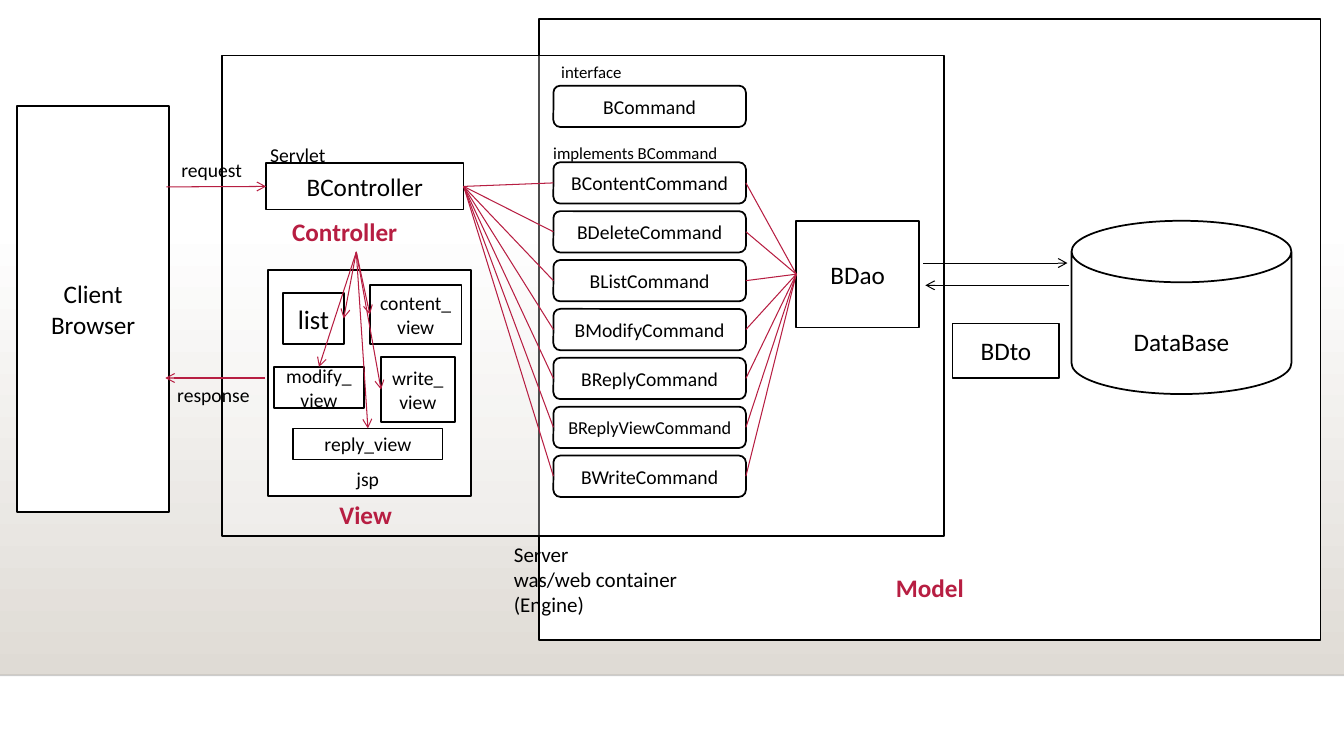
from dataclasses import dataclass

import lxml.etree
import pptx
import pptx.dml.color
import pptx.enum.dml
import pptx.enum.shapes
import pptx.enum.text
import pptx.oxml.ns
import pptx.util

Pt = pptx.util.Pt
qn = pptx.oxml.ns.qn
SHAPE = pptx.enum.shapes.MSO_SHAPE
ANCHOR = pptx.enum.text.MSO_ANCHOR
ALIGN = pptx.enum.text.PP_ALIGN

BLACK, WHITE, RED, SAND = "000000", "FFFFFF", "B71E42", "DFDBD5"
TOP, LEFT, BOTTOM, RIGHT = range(4)  # connection sites


@dataclass
class Box:
    text: str
    x: float
    y: float
    w: float
    h: float
    size: float = 18
    kind: int = SHAPE.RECTANGLE


@dataclass
class Label:
    text: str
    x: float
    y: float
    w: float
    h: float
    size: float = 14
    color: str = BLACK
    bold: bool = False


@dataclass
class Arrow:
    x1: float
    y1: float
    x2: float
    y2: float
    color: str


def rgb(color: str) -> pptx.dml.color.RGBColor:
    return pptx.dml.color.RGBColor.from_string(color)


def set_alpha(parent, percent: int) -> None:
    clr = next(parent.iter(qn("a:srgbClr")))
    lxml.etree.SubElement(clr, qn("a:alpha")).set("val", str(percent * 1000))


def write(tf, text: str, size: float, color: str, bold: bool, align) -> None:
    tf.word_wrap = True
    for i, line in enumerate(text.split("\n")):
        p = tf.paragraphs[0] if i == 0 else tf.add_paragraph()
        p.text = line
        p.alignment = align
        p.font.name = "Calibri"
        p.font.size = Pt(size)
        p.font.bold = bold
        p.font.color.rgb = rgb(color)


def draw_box(s, box: Box, color: str = BLACK, bold: bool = False):
    sp = s.shapes.add_shape(box.kind, Pt(box.x), Pt(box.y), Pt(box.w), Pt(box.h))
    sp.shadow.inherit = False
    sp.fill.solid()
    sp.fill.fore_color.rgb = rgb(WHITE)
    sp.line.color.rgb = rgb(BLACK)
    sp.line.width = Pt(1.25)
    if box.text:
        sp.text_frame.vertical_anchor = ANCHOR.MIDDLE
        write(sp.text_frame, box.text, box.size, color, bold, ALIGN.CENTER)
    return sp


def draw_label(s, label: Label):
    sp = s.shapes.add_textbox(Pt(label.x), Pt(label.y), Pt(label.w), Pt(label.h))
    write(sp.text_frame, label.text, label.size, label.color, label.bold, ALIGN.LEFT)
    sp.text_frame.auto_size = pptx.enum.text.MSO_AUTO_SIZE.SHAPE_TO_FIT_TEXT
    return sp


def draw_line(s, x1: float, y1: float, x2: float, y2: float, color: str,
              width: float = 0.75, arrow: bool = False):
    con = s.shapes.add_connector(pptx.enum.shapes.MSO_CONNECTOR.STRAIGHT,
                                 Pt(x1), Pt(y1), Pt(x2), Pt(y2))
    con.line.color.rgb = rgb(color)
    con.line.width = Pt(width)
    spPr = con._element.spPr
    if arrow:
        ln = spPr.find(qn("a:ln"))
        lxml.etree.SubElement(ln, qn("a:tailEnd")).set("type", "arrow")
    lxml.etree.SubElement(spPr, qn("a:effectLst"))
    return con


def join(s, start, start_site: int, end, end_site: int, arrow: bool = False) -> None:
    con = draw_line(s, 0, 0, 0, 0, RED, arrow=arrow)
    con.begin_connect(start, start_site)
    con.end_connect(end, end_site)


COMMANDS = ["BContentCommand", "BDeleteCommand", "BListCommand", "BModifyCommand",
            "BReplyCommand", "BReplyViewCommand", "BWriteCommand"]
# Each view with the site where its arrow arrives
VIEWS = [
    (Box("list", 202.3, 209.5, 43.2, 36, 19), RIGHT),
    (Box("content_view", 264.2, 203.8, 65.5, 41.8, 14), LEFT),
    (Box("modify_view", 195.8, 262.1, 64.1, 29.5, 14), TOP),
    (Box("write_view", 272.2, 254.9, 52.6, 46.8, 14), LEFT),
    (Box("reply_view", 209.5, 306, 106.6, 22.3, 14), TOP),
]
LABELS = [
    Label("interface", 393.8, 40.3, 105.1, 20.9, 12),
    Label("implements BCommand", 388.1, 98.6, 156.2, 21.6, 12),
    Label("Servlet", 185.8, 98.6, 82.8, 23),
    Label("View", 235.4, 352.8, 61.9, 28.8, 18, RED, True),
    Label("jsp", 247.5, 329.8, 42, 23),
    Label("request", 122.4, 109.4, 59, 23.8),
    Label("response", 119.5, 270, 69.1, 23),
    Label("Server\nwas/web container\n(Engine)", 360, 383, 158.4, 61.2, 15),
]
ARROWS = [
    Arrow(659.5, 187.9, 762.5, 187.9, BLACK),
    Arrow(763.9, 203.8, 661, 203.8, BLACK),
    Arrow(118.8, 133.5, 190.1, 133.2, RED),
    Arrow(189.4, 270, 118.1, 270, RED),
]


def main() -> None:
    prs = pptx.Presentation()
    prs.slide_width, prs.slide_height = Pt(960), Pt(540)
    s = prs.slides.add_slide(prs.slide_layouts[6])

    # Background band
    band = draw_box(s, Box("", 0, 159.1, 960, 323.3))
    band.line.fill.background()
    band.fill.gradient()
    band.fill.gradient_angle = 270
    for stop, color in zip(band.fill.gradient_stops, (WHITE, SAND)):
        stop.color.rgb = rgb(color)
    floor = draw_line(s, 0, 482.4, 960, 482.4, BLACK, 1)
    set_alpha(floor._element.spPr, 20)

    # Model and server areas
    model = draw_box(s, Box("Model", 385.2, 13.7, 558, 443.5), RED, True)
    model.text_frame.vertical_anchor = ANCHOR.BOTTOM
    model.text_frame.margin_bottom = Pt(26.5)
    server = draw_box(s, Box("", 158.4, 39.6, 516.2, 343.4))
    set_alpha(server._element.spPr.find(qn("a:solidFill")), 30)

    # Data side
    database = draw_box(s, Box("DataBase", 765.4, 157.7, 157, 123.8, kind=SHAPE.CAN))
    database.adjustments[0] = 0.355
    database.text_frame.margin_top = Pt(29.5)
    dao = draw_box(s, Box("BDao", 568.8, 157.7, 87.8, 76.3))
    draw_box(s, Box("BDto", 680.4, 231.1, 76.3, 38.9))

    # Client, controller and view frame
    draw_box(s, Box("Client\nBrowser", 12.2, 75.6, 108.7, 290.2))
    controller = draw_box(s, Box("BController", 190.1, 116.6, 141.1, 33.1))
    draw_box(s, Box("", 191.5, 193, 144.7, 161.3))

    # Commands, each joined to the controller and the DAO
    draw_box(s, Box("BCommand", 395.3, 61.2, 137.5, 29.5, 14, SHAPE.ROUNDED_RECTANGLE))
    for i, name in enumerate(COMMANDS):
        size = 13 if name == "BReplyViewCommand" else 14
        command = draw_box(s, Box(name, 395.3, 115.9 + 34.92 * i, 137.5, 29.5, size,
                                  SHAPE.ROUNDED_RECTANGLE))
        join(s, controller, RIGHT, command, LEFT)
        join(s, command, RIGHT, dao, LEFT)

    # Views, reached from the controller caption
    caption = draw_label(s, Label("Controller", 201.6, 151.2, 105.8, 28.8, 18, RED, True))
    views = [(draw_box(s, box), site) for box, site in VIEWS]
    for view, site in views:
        join(s, caption, BOTTOM, view, site, arrow=True)

    # Remaining arrows and labels
    for a in ARROWS:
        draw_line(s, a.x1, a.y1, a.x2, a.y2, a.color, arrow=True)
    for label in LABELS:
        draw_label(s, label)

    prs.save("out.pptx")


if __name__ == "__main__":
    main()
